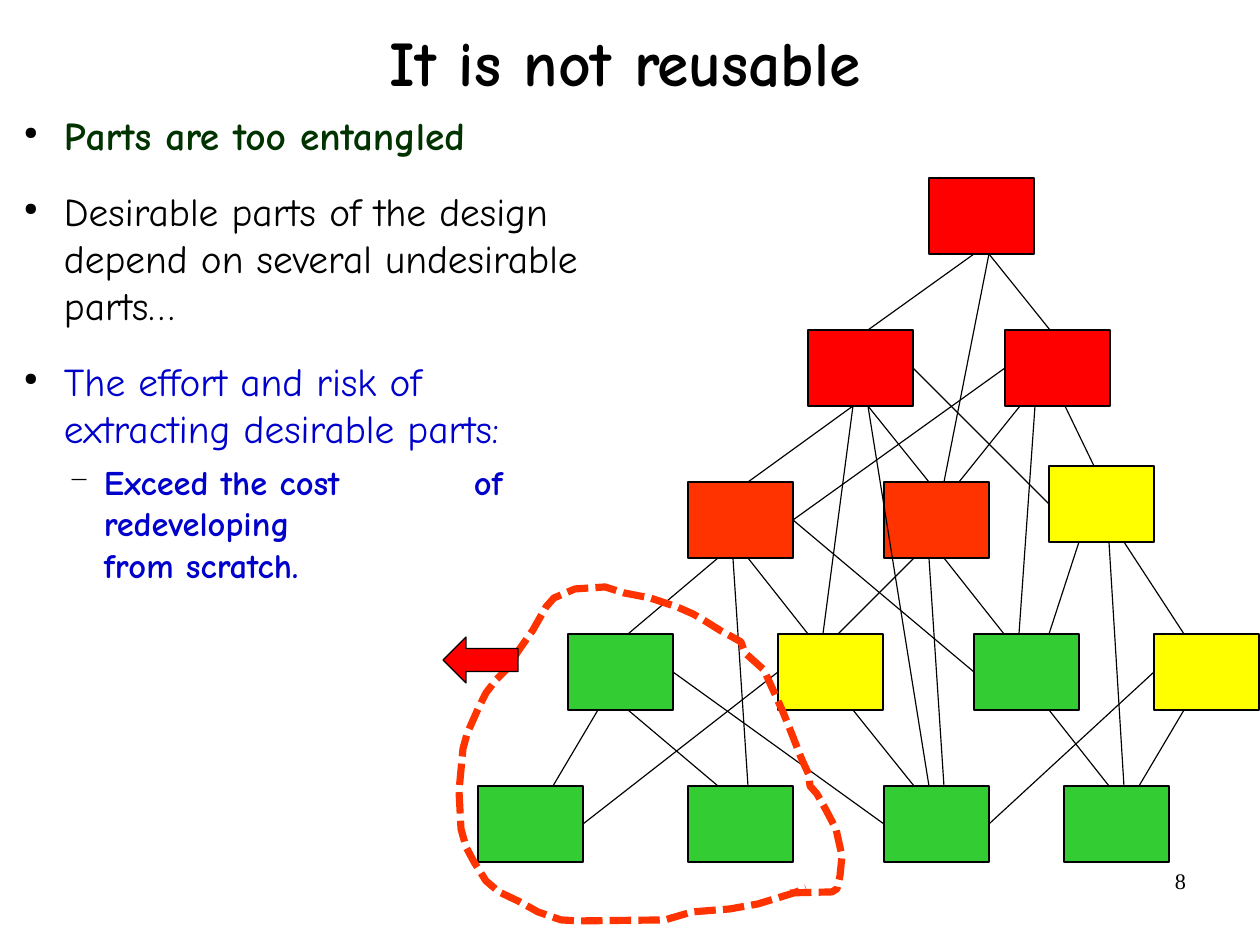
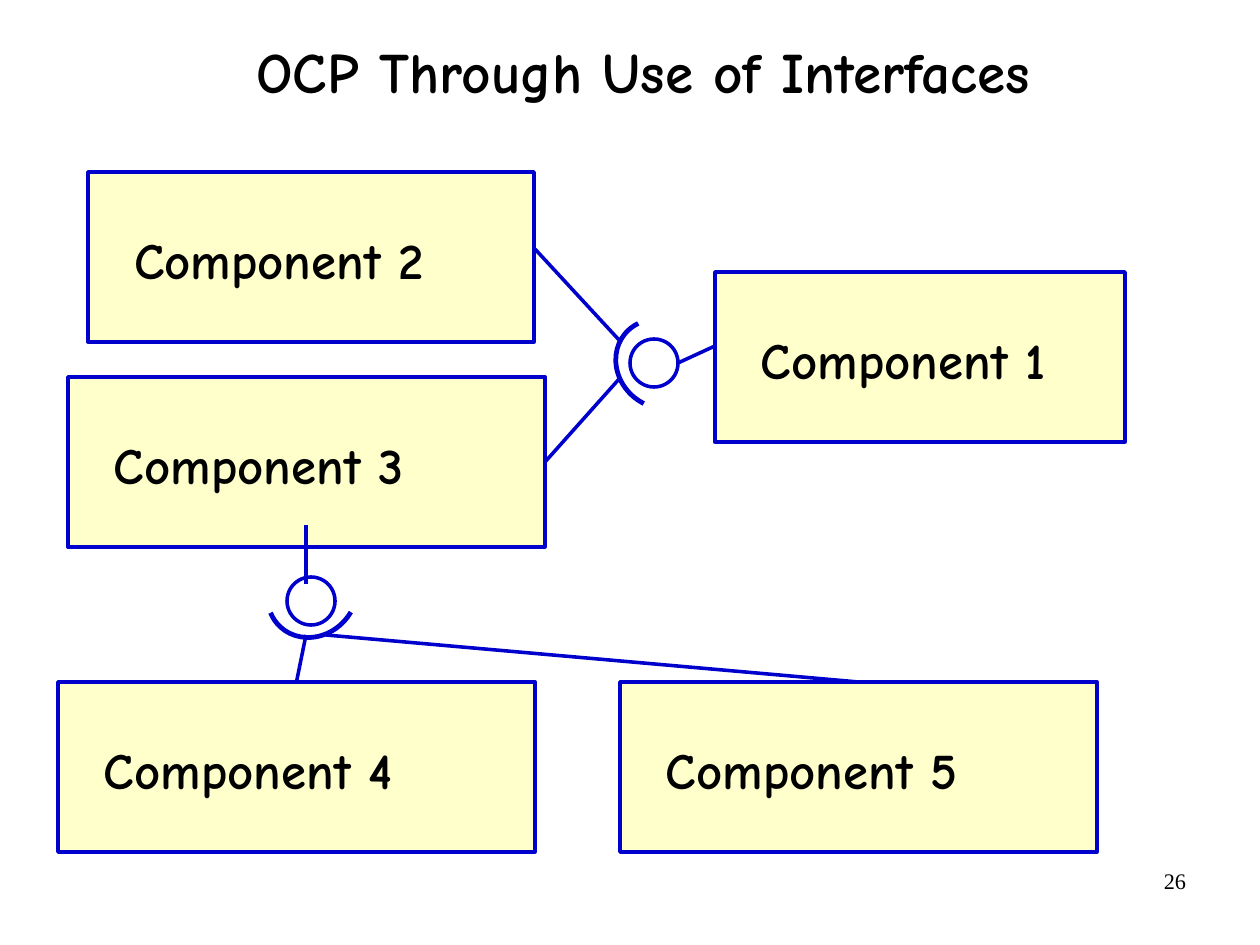
from dataclasses import dataclass

from lxml import etree
from pptx import Presentation
from pptx.dml.color import RGBColor
from pptx.enum.dml import MSO_LINE
from pptx.enum.shapes import MSO_CONNECTOR, MSO_SHAPE
from pptx.enum.text import MSO_ANCHOR, PP_ALIGN
from pptx.oxml.ns import qn
from pptx.util import Emu, Pt

PX = 8000  # EMU per px
RECT, OVAL, ARC = MSO_SHAPE.RECTANGLE, MSO_SHAPE.OVAL, MSO_SHAPE.ARC
LEFT_ARROW = MSO_SHAPE.LEFT_ARROW
STRAIGHT = MSO_CONNECTOR.STRAIGHT
DASH = MSO_LINE.SQUARE_DOT
TOP, MIDDLE = MSO_ANCHOR.TOP, MSO_ANCHOR.MIDDLE
CENTER, RIGHT = PP_ALIGN.CENTER, PP_ALIGN.RIGHT
SIDE_TOP, SIDE_LEFT, SIDE_RIGHT = 0, 1, 3


@dataclass(frozen=True)
class Theme:
    font: str = "Comic Neue"
    number_font: str = "Times New Roman"
    black: str = "000000"
    blue: str = "0000CC"
    dark_green: str = "003300"
    red: str = "FF0000"
    orange: str = "FF3300"
    yellow: str = "FFFF00"
    green: str = "33CC33"
    cream: str = "FFFFCC"
    body: float = 24.8
    sub: float = 21.7
    label: float = 32
    number: float = 14
    thin: float = 0.75
    medium: float = 2.25
    arc: float = 3
    thick: float = 4.5


T = Theme()


def rgb(value):
    return RGBColor.from_string(value)


def px(*values):
    return [Emu(v * PX) for v in values]


class Deck:
    def __init__(self, width, height):
        self.prs = Presentation()
        self.prs.slide_width, self.prs.slide_height = px(width, height)
        self.s = None

    def new_slide(self, title, number, title_box, title_size):
        self.s = self.prs.slides.add_slide(self.prs.slide_layouts[6])
        tf = self.text_frame(self.s.shapes.add_textbox(*px(*title_box)), anchor=MIDDLE)
        self.paragraph(tf, title, title_size, bold=True, alignment=CENTER, line_spacing=0.88)
        tf = self.text_frame(self.s.shapes.add_textbox(*px(903, 861, 294, 65)), (11, 6, 11, 6))
        self.paragraph(tf, number, T.number, font=T.number_font, alignment=RIGHT)

    def text_frame(self, sp, insets=(0, 0, 0, 0), anchor=TOP):
        tf = sp.text_frame
        left, top, right, bottom = px(*insets)
        style = dict(word_wrap=True, vertical_anchor=anchor, margin_left=left,
                     margin_top=top, margin_right=right, margin_bottom=bottom)
        for name, value in style.items():
            setattr(tf, name, value)
        return tf

    def paragraph(self, tf, text, size, color=T.black, bold=False, font=T.font,
                  bullet=None, tab=None, **style):
        """Fill the empty first paragraph or add one; bullet is (char, percent, left, hang)."""
        p = tf.paragraphs[0]
        if p.runs:
            p = tf.add_paragraph()
        if bullet:
            self.bullet(p, *bullet)
        if tab:
            tabs = etree.SubElement(p._p.get_or_add_pPr(), qn("a:tabLst"))
            etree.SubElement(tabs, qn("a:tab"), pos=str(tab * PX), algn="l")
        p.text = text
        for name, value in style.items():
            setattr(p, name, value)
        for r in p.runs:
            for name, value in dict(name=font, size=Pt(size), bold=bold).items():
                setattr(r.font, name, value)
            r.font.color.rgb = rgb(color)

    def bullet(self, p, char, percent, left, hang):
        pPr = p._p.get_or_add_pPr()
        pPr.set("marL", str(left * PX))
        pPr.set("indent", str(-hang * PX))
        clr = etree.SubElement(pPr, qn("a:buClr"))
        etree.SubElement(clr, qn("a:srgbClr"), val=T.black)
        etree.SubElement(pPr, qn("a:buSzPct"), val=str(percent * 1000))
        etree.SubElement(pPr, qn("a:buChar"), char=char)

    def outline(self, sp, color, width):
        sp.line.color.rgb = rgb(color)
        sp.line.width = Pt(width)

    def shape(self, kind, box, fill=None, line=T.black, width=T.thin):
        sp = self.s.shapes.add_shape(kind, *px(*box))
        sp.shadow.inherit = False
        if fill:
            sp.fill.solid()
            sp.fill.fore_color.rgb = rgb(fill)
        else:
            sp.fill.background()
        self.outline(sp, line, width)
        return sp

    def component(self, name, box):
        sp = self.shape(RECT, box, T.cream, T.blue, T.medium)
        tf = self.text_frame(sp, (46, 57, 11, 6))
        self.paragraph(tf, name, T.label, bold=True, alignment=PP_ALIGN.LEFT)
        return sp

    def socket(self, box, rotation):
        sp = self.shape(ARC, box, None, T.blue, T.arc)
        for i, degrees in enumerate((255, 21)):
            sp.adjustments[i] = degrees * 0.6
        sp.rotation = rotation

    def line(self, start, end, color=T.black, width=T.thin):
        """Each end is a point (x, y) or a joined (shape, side)."""
        ends = [(0, 0) if hasattr(e[0], "shape_id") else e for e in (start, end)]
        cx = self.s.shapes.add_connector(STRAIGHT, *px(*ends[0], *ends[1]))
        for e, join in ((start, cx.begin_connect), (end, cx.end_connect)):
            if hasattr(e[0], "shape_id"):
                join(*e)
        self.outline(cx, color, width)
        etree.SubElement(cx._element.spPr, qn("a:effectLst"))

    def dashed_path(self, points, color, width):
        builder = self.s.shapes.build_freeform(*points[0], scale=PX)
        builder.add_line_segments(points[1:], close=False)
        sp = builder.convert_to_shape()
        sp.shadow.inherit = False
        sp.fill.background()
        self.outline(sp, color, width)
        sp.line.dash_style = DASH


BOX_W, BOX_H, ROW_STEP, FIRST_ROW = 105, 76, 152, 178
SLOT = BOX_W // 7  # lines leave and enter boxes at sevenths of the side

ROWS = [
    {"top": (929, T.red)},
    {"left": (808, T.red), "right": (1005, T.red)},
    {"mid1": (688, T.orange), "mid2": (884, T.orange), "mid3": (1049, T.yellow)},
    {"low1": (568, T.green), "low2": (778, T.yellow),
     "low3": (974, T.green), "low4": (1154, T.yellow)},
    {"base1": (478, T.green), "base2": (688, T.green),
     "base3": (884, T.green), "base4": (1064, T.green)},
]
RAISED = {"mid3": 16}

# upper box, slot on its bottom, lower box, slot on its top
DOWN_LINKS = [
    ("top", 3, "left", 4), ("top", 4, "right", 3), ("top", 4, "mid2", 4),
    ("left", 3, "mid1", 4), ("left", 4, "mid2", 3), ("left", 4, "base3", 3),
    ("left", 3, "low2", 3), ("right", 4, "mid3", 3), ("right", 2, "low3", 3),
    ("right", 1, "mid2", 5), ("mid1", 2, "low1", 4), ("mid1", 4, "low2", 2),
    ("mid1", 3, "base2", 4), ("mid2", 4, "low3", 2), ("mid2", 2, "low2", 4),
    ("mid2", 3, "base3", 4), ("mid3", 2, "low3", 5), ("mid3", 5, "low4", 2),
    ("mid3", 4, "base4", 4), ("low1", 2, "base1", 5), ("low1", 4, "base2", 2),
    ("low2", 5, "base3", 2), ("low3", 5, "base4", 3), ("low4", 2, "base4", 5),
]
# box on the left (joined at its right side), box on the right (at its left side)
SIDE_LINKS = [
    ("low1", "base3"), ("mid1", "low3"), ("left", "mid3"),
    ("base3", "low4"), ("base1", "low2"), ("mid1", "right"),
]
CUT_OUT = [
    (790, 893), (832, 892), (837, 889), (840, 876), (842, 856), (840, 847), (836, 829),
    (826, 810), (817, 794), (810, 786), (809, 775), (802, 760), (793, 737), (783, 712),
    (774, 692), (764, 670), (745, 653), (741, 642), (734, 638), (721, 631), (705, 621),
    (693, 614), (677, 607), (650, 598), (624, 593), (605, 587), (575, 589), (554, 598),
    (546, 607), (533, 630), (519, 650), (506, 670), (496, 680), (486, 693), (478, 709),
    (467, 734), (463, 749), (459, 791), (461, 829), (466, 847), (474, 862), (486, 881),
    (499, 892), (520, 902), (538, 912), (561, 920), (578, 921), (665, 920), (692, 912),
    (730, 909), (758, 904), (794, 893), (806, 888),
]


def reuse_slide(deck):
    deck.new_slide("It is not reusable", "8", (88, 21, 1074, 91), 40)

    tf = deck.text_frame(deck.s.shapes.add_textbox(*px(11, 111, 666, 458)))
    dot, dash = ("●", 45, 53, 40), ("−", 75, 93, 35)
    before, after = dict(space_before=Pt(6)), dict(space_after=Pt(12))
    deck.paragraph(tf, "Parts are too entangled", T.body, T.dark_green, True,
                   bullet=dot, **after)
    deck.paragraph(tf, "Desirable parts of the design depend on several undesirable parts…",
                   T.body, bullet=dot, **before, **after)
    deck.paragraph(tf, "The effort and risk of\vextracting desirable parts:",
                   T.body, T.blue, bullet=dot, **before)
    deck.paragraph(tf, "Exceed the cost\tof redeveloping\vfrom scratch.",
                   T.sub, T.blue, True, bullet=dash, tab=463, level=1, **before)

    boxes = {}
    for row, cells in enumerate(ROWS):
        for name, (x, color) in cells.items():
            y = FIRST_ROW + row * ROW_STEP - RAISED.get(name, 0)
            boxes[name] = deck.shape(RECT, (x, y, BOX_W, BOX_H), color)

    def slot(name, index, bottom):
        sp = boxes[name]
        return sp.left // PX + index * SLOT, sp.top // PX + bottom * BOX_H

    for upper, i, lower, j in DOWN_LINKS:
        deck.line(slot(upper, i, True), slot(lower, j, False))
    for a, b in SIDE_LINKS:
        deck.line((boxes[a], SIDE_RIGHT), (boxes[b], SIDE_LEFT))

    deck.dashed_path(CUT_OUT, T.orange, T.thick)
    deck.shape(LEFT_ARROW, (443, 637, 75, 46), T.red)


def interface_slide(deck):
    deck.new_slide("OCP Through Use of Interfaces", "26", (106, 0, 1074, 151), 36)
    blue = dict(color=T.blue, width=T.medium)
    places = {2: (88, 172, 446), 1: (715, 272, 410), 3: (68, 377, 477),
              4: (58, 682, 477), 5: (620, 682, 477)}
    parts = {n: deck.component(f"Component {n}", (*place, 170))
             for n, place in places.items()}

    for ball in ((630, 339), (287, 577)):
        deck.shape(OVAL, (*ball, 48, 48), None, T.blue, T.medium)
    deck.socket((265, 549, 95, 86), 132.7)
    deck.socket((614, 321, 95, 86), 219.2)

    for start, end in [
        ((678, 363), (715, 346)),
        ((306, 584), (306, 525)),
        ((535, 249), (620, 341)),
        ((parts[3], SIDE_RIGHT), (620, 378)),
        ((parts[4], SIDE_TOP), (306, 635)),
        ((parts[5], SIDE_TOP), (326, 635)),
    ]:
        deck.line(start, end, **blue)


def main():
    deck = Deck(1260, 945)
    reuse_slide(deck)
    interface_slide(deck)
    deck.prs.save("out.pptx")


if __name__ == "__main__":
    main()
